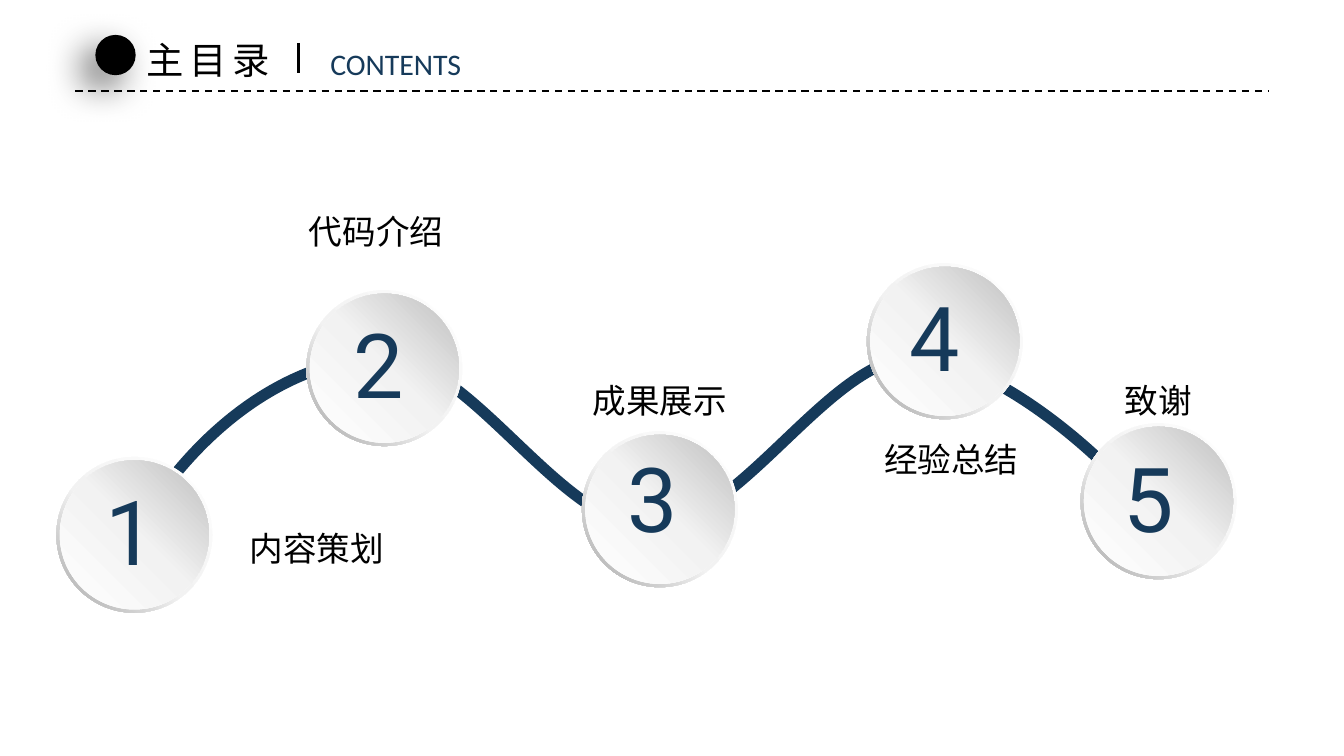
"""Build a contents slide with five numbered stops along a wave."""
from copy import deepcopy
from pptx import Presentation
from pptx.dml.color import RGBColor
from pptx.enum import dml, shapes, text
from pptx.oxml import parse_xml
from pptx.oxml.ns import nsdecls, qn
from pptx.util import Inches, Pt

THEME = {
    "ink": RGBColor.from_string("000000"),
    "navy": RGBColor.from_string("163A5A"),
    "rim": ([(0, "FFFFFF"), (0.55, "F2F2F2"), (1, "A6A6A6")], 225),
    "face": ([(0, "FFFFFF"), (0.51, "F2F2F2"), (1, "BFBFBF")], 45),
    "label": {"size": Pt(18), "name": "Noto Sans CJK SC"},
    "heading": {"size": Pt(20), "name": "Noto Sans CJK SC"},
    "subheading": {"size": Pt(16), "name": "Calibri"},
    "digit": {"size": Pt(48), "name": "Roboto"},
}

deck = Presentation()
deck.slide_width = Inches(10)
deck.slide_height = deck.slide_width * 9 // 16
slide = deck.slides.add_slide(deck.slide_layouts[6])


def write(parent, words, box, style, color, wrap=True):
    frame = parent.add_textbox(*map(Inches, box)).text_frame
    frame.word_wrap = wrap
    frame.auto_size = text.MSO_AUTO_SIZE.SHAPE_TO_FIT_TEXT
    run = frame.paragraphs[0].add_run()
    run.text = words
    for key, value in THEME[style].items():
        setattr(run.font, key, value)
    run.font.color.rgb = THEME[color]
    east_asian = parse_xml(f'<a:ea {nsdecls("a")} typeface="{run.font.name}"/>')
    run.font._element.find(qn("a:latin")).addnext(east_asian)
    return run


def add_disc(parent, kind, left, top, size, gradient):
    disc = parent.add_shape(kind, *map(Inches, (left, top, size, size)))
    disc.shadow.inherit = False
    disc.line.fill.background()
    stops, angle = THEME[gradient]
    disc.fill.gradient()
    disc.fill.gradient_angle = angle
    stop_list = disc._element.spPr.find(".//" + qn("a:gsLst"))
    stop_list.append(deepcopy(stop_list[-1]))
    for stop, (position, color) in zip(disc.fill.gradient_stops, stops):
        stop.position = position
        stop.color.rgb = RGBColor.from_string(color)
    return disc


wave_start = (99, 398)
wave_curves = [
    [(150, 311), (222, 267), (285, 266)],
    [(349, 265), (417, 392), (483, 392)],
    [(549, 392), (617, 266), (680, 266)],
    [(743, 266), (842, 356), (861, 393)],
]
outline = slide.shapes.build_freeform(*wave_start, scale=Inches(0.01))
outline.add_line_segments([curve[-1] for curve in wave_curves], close=False)
wave = outline.convert_to_shape()
wave.shadow.inherit = False
wave.fill.background()
wave.line.color.rgb, wave.line.width = THEME["navy"], Pt(6)
segments = wave._element.spPr.findall(".//" + qn("a:lnTo"))
for segment, curve in zip(segments, wave_curves):
    points = "".join(f'<a:pt x="{x - 99}" y="{y - 266}"/>' for x, y in curve)
    bezier = parse_xml(f'<a:cubicBezTo {nsdecls("a")}>{points}</a:cubicBezTo>')
    segment.getparent().replace(segment, bezier)

for x1, y1, x2, y2, width, dash in [
    (0.56, 0.68, 9.44, 0.68, 1, dml.MSO_LINE.DASH),
    (2.22, 0.32, 2.22, 0.54, 1.5, None),
]:
    rule = slide.shapes.add_connector(
        shapes.MSO_CONNECTOR.STRAIGHT, *map(Inches, (x1, y1, x2, y2)))
    rule.line.color.rgb, rule.line.width = THEME["ink"], Pt(width)
    rule.line.dash_style = dash
    rule._element.spPr.append(parse_xml(f'<a:effectLst {nsdecls("a")}/>'))

dot = slide.shapes.add_shape(
    shapes.MSO_SHAPE.OVAL, *map(Inches, (0.71, 0.26, 0.3, 0.3)))
dot.fill.solid()
dot.fill.fore_color.rgb = THEME["ink"]
dot.line.fill.background()
dot.shadow.inherit = False
dot._element.spPr.find(qn("a:effectLst")).append(parse_xml(
    f'<a:outerShdw {nsdecls("a")} blurRad="{Pt(20)}" dist="{Pt(10)}" dir="8100000" '
    'algn="tr" rotWithShape="0"><a:srgbClr val="000000"><a:alpha val="60000"/>'
    '</a:srgbClr></a:outerShdw>'))

heading = write(slide.shapes, "主目录", (0.99, 0.23, 1.17, 0.44), "heading", "ink", False)
heading.font._element.set("spc", "300")
write(slide.shapes, "CONTENTS", (2.36, 0.29, 1.29, 0.37), "subheading", "navy", False)

stops = [
    ("1", (0.42, 3.4), (0.69, 3.49), "内容策划", (1.76, 3.88, 1.77)),
    ("2", (2.28, 2.16), (2.53, 2.25), "代码介绍", (2.2, 1.52, 2)),
    ("3", (4.33, 3.21), (4.57, 3.25), "成果展示", (4.31, 2.78, 2.02)),
    ("4", (6.45, 1.96), (6.67, 2.05), "经验总结", (6.48, 3.22, 1.98)),
    ("5", (8.04, 3.15), (8.26, 3.25), "致谢", (8.27, 2.78, 1.98)),
]
for digit, (left, top), digit_at, label, label_at in stops:
    badge = slide.shapes.add_group_shape().shapes
    rim = add_disc(badge, shapes.MSO_SHAPE.DONUT, left, top, 1.16, "rim")
    rim.adjustments[0] = 0.049
    add_disc(badge, shapes.MSO_SHAPE.OVAL, left + 0.025, top + 0.025, 1.11, "face")
    write(badge, digit, (*digit_at, 0.72, 0.91), "digit", "navy", False)
    write(slide.shapes, label, (*label_at, 0.4), "label", "ink")

deck.save("out.pptx")
